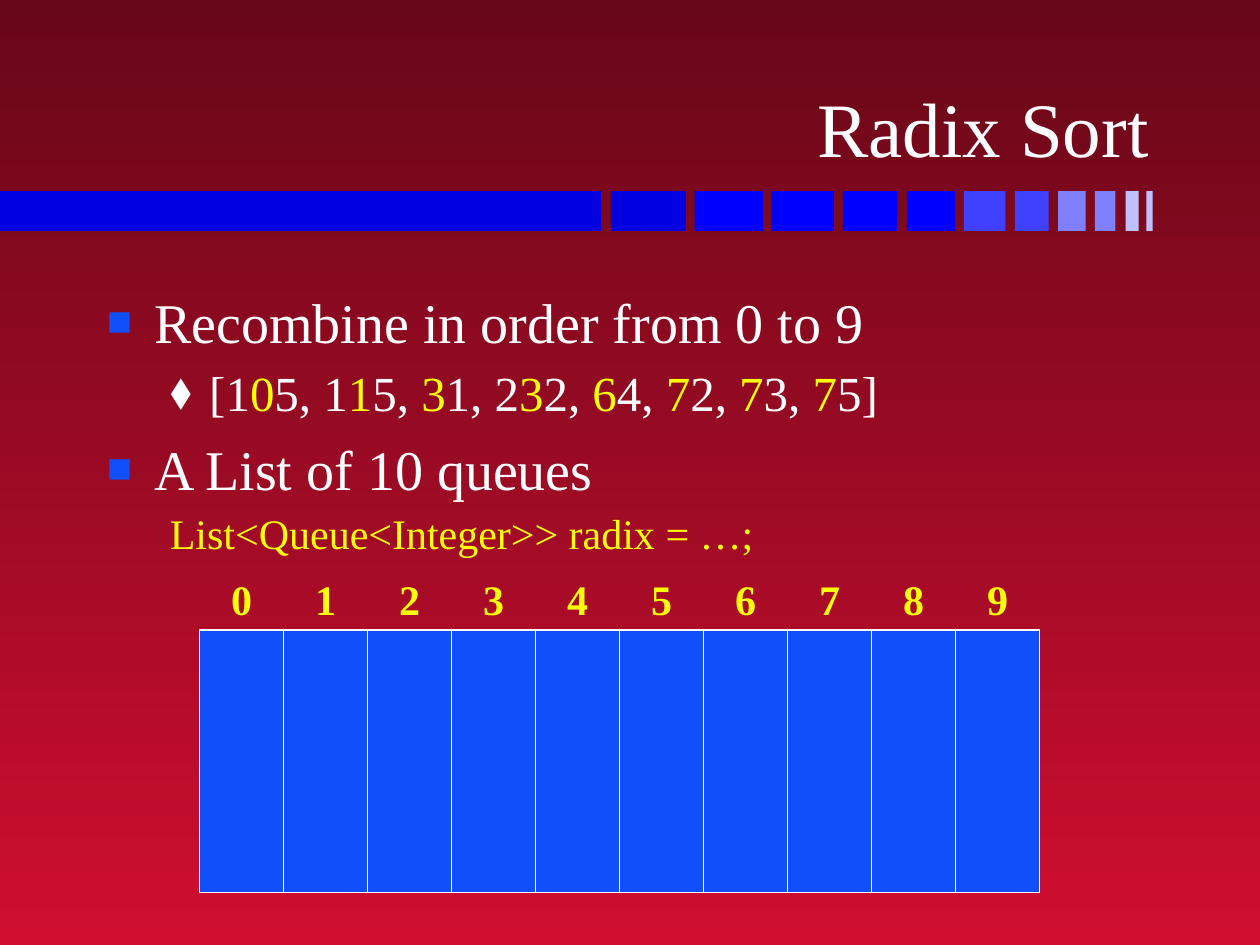
"""Build the Radix Sort slide with its row of ten empty queues."""
from lxml import etree
from pptx import Presentation
from pptx.dml.color import RGBColor
from pptx.enum import shapes, text
from pptx.oxml import ns
from pptx.util import Pt

FONT = "Times New Roman"
COLORS = {
    "top": "670718", "bottom": "CF0E30", "white": "FFFFFF", "yellow": "FFFF00",
    "queue": "114FFB", "navy": "0000E0", "blue": "0000FF", "mid": "4040FF",
    "light": "8080FF", "pale": "C0C0FF",
}


def style(r, size, color, bold=False):
    r.font.name, r.font.size, r.font.bold = FONT, Pt(size), bold
    r.font.color.rgb = RGBColor.from_string(COLORS[color])


def add_rect(s, left, top, width, height, color):
    sp = s.shapes.add_shape(shapes.MSO_SHAPE.RECTANGLE, Pt(left), Pt(top), Pt(width), Pt(height))
    sp.shadow.inherit = False
    sp.fill.solid()
    sp.fill.fore_color.rgb = RGBColor.from_string(COLORS[color])
    sp.line.fill.background()
    return sp


prs = Presentation()
prs.slide_width, prs.slide_height = Pt(720), Pt(540)
s = prs.slides.add_slide(prs.slide_layouts[5])

fill = s.background.fill
fill.gradient()
fill.gradient_angle = 270
for stop, position, color in zip(fill.gradient_stops, (0, 1), ("top", "bottom")):
    stop.position = position
    stop.color.rgb = RGBColor.from_string(COLORS[color])

bars = [
    (0, 343.5, "navy"), (349, 43, "navy"), (397, 39, "blue"), (441, 35.5, "blue"),
    (481.7, 31, "blue"), (518.2, 27.5, "blue"), (550.8, 23.7, "mid"), (580, 19.3, "mid"),
    (604.7, 15.7, "light"), (625.7, 11.7, "light"), (643.2, 7.5, "pale"), (655, 3.7, "pale"),
]
for left, width, color in bars:
    add_rect(s, left, 109.2, width, 22.8, color)

title = s.shapes.title
title.left, title.top, title.width, title.height = Pt(53.3), Pt(13.7), Pt(610.5), Pt(88.5)
tf = title.text_frame
tf.text = "Radix Sort"
tf.word_wrap = True
tf.auto_size = text.MSO_AUTO_SIZE.NONE
tf.vertical_anchor = text.MSO_ANCHOR.BOTTOM
tf.paragraphs[0].alignment = text.PP_ALIGN.RIGHT
style(tf.paragraphs[0].runs[0], 44, "white")

square, diamond = ("■", "queue", 75), ("⬧", "white", 100)
lines = [
    ("Recombine in order from 0 to 9", 32, "white", 0, 0, square),
    ("[1|0|5, 1|1|5, |3|1, 2|3|2, |6|4, |7|2, |7|3, |7|5]", 28, "white", 1, 4, diamond),
    ("A List of 10 queues", 32, "white", 0, 8, square),
    ("List<Queue<Integer>> radix = …;", 24, "yellow", 1, 3, None),
]
tf = s.shapes.add_textbox(Pt(54), Pt(161), Pt(612), Pt(319)).text_frame
tf.word_wrap = True
for i, (content, size, color, level, before, bullet) in enumerate(lines):
    p = tf.add_paragraph() if i else tf.paragraphs[0]
    p.level = level
    margin, indent = ((27, -27), (58.5, -22.5))[level]
    pPr = p._p.get_or_add_pPr()
    pPr.set("marL", str(Pt(margin)))
    pPr.set("indent", str(Pt(indent)))
    if bullet:
        char, bullet_color, percent = bullet
        buClr = etree.SubElement(pPr, ns.qn("a:buClr"))
        etree.SubElement(buClr, ns.qn("a:srgbClr"), val=COLORS[bullet_color])
        etree.SubElement(pPr, ns.qn("a:buSzPct"), val=str(percent * 1000))
        etree.SubElement(pPr, ns.qn("a:buFont"), typeface=FONT)
        etree.SubElement(pPr, ns.qn("a:buChar"), char=char)
    else:
        etree.SubElement(pPr, ns.qn("a:buNone"))
    p.space_before = Pt(before)
    for j, part in enumerate(content.split("|")):
        r = p.add_run()
        r.text = part
        style(r, size, "yellow" if j % 2 else color)

queue_left, queue_width, label_width = 114, 48, 26
for digit in range(10):
    left = queue_left + digit * queue_width
    label_left = left + (queue_width - label_width) / 2
    tf = s.shapes.add_textbox(Pt(label_left), Pt(324), Pt(label_width), Pt(36)).text_frame
    tf.text = str(digit)
    tf.word_wrap = False
    tf.paragraphs[0].alignment = text.PP_ALIGN.CENTER
    style(tf.paragraphs[0].runs[0], 24, "yellow", bold=True)
    sp = add_rect(s, left, 360, queue_width, 150, "queue")
    sp.line.color.rgb = RGBColor.from_string(COLORS["white"])
    sp.line.width = Pt(1)

prs.save("out.pptx")
